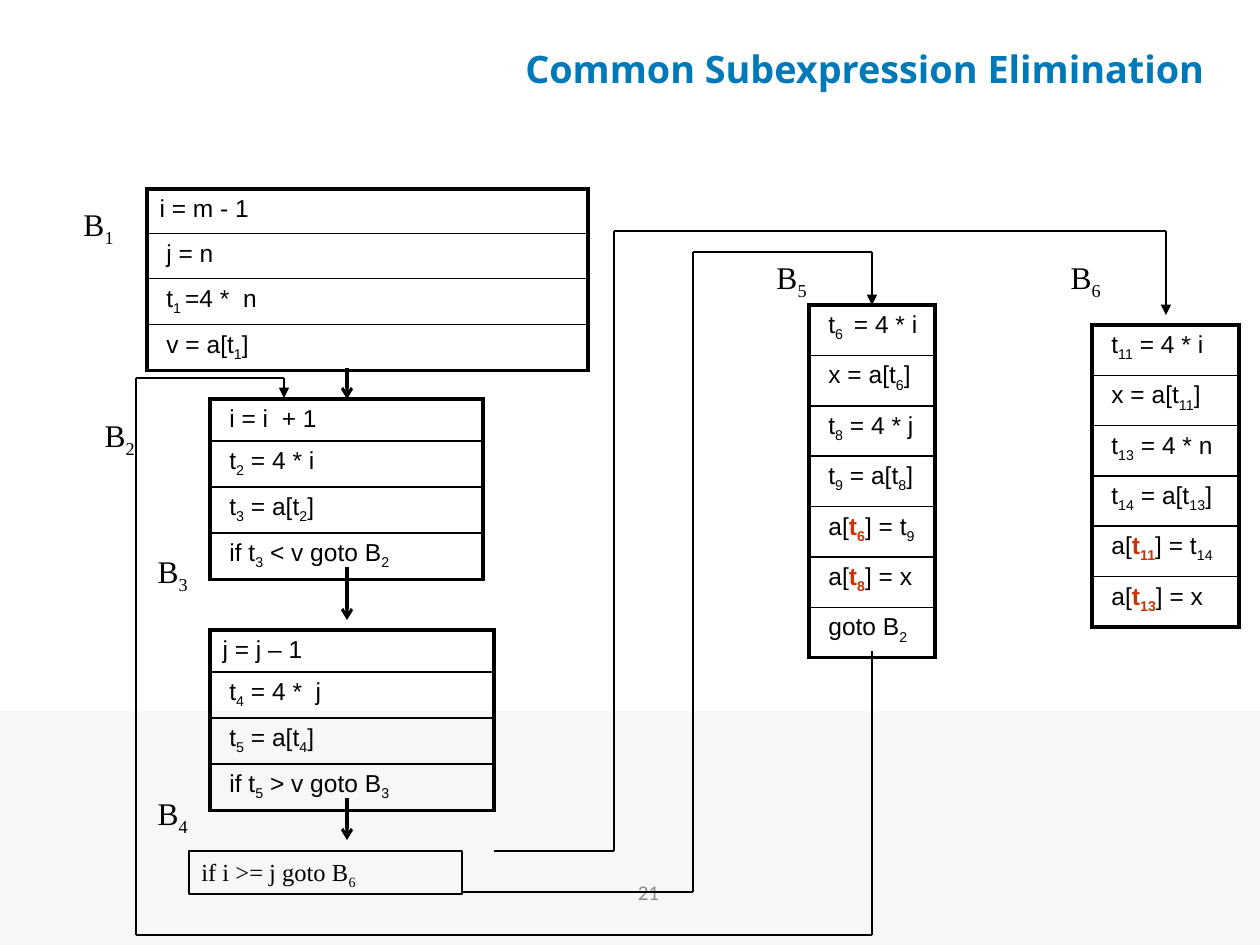
from dataclasses import dataclass
from itertools import pairwise

from lxml import etree
from pptx import Presentation
from pptx.dml.color import RGBColor
from pptx.enum.shapes import MSO_CONNECTOR, MSO_SHAPE
from pptx.enum.text import MSO_ANCHOR, PP_ALIGN
from pptx.oxml.ns import qn
from pptx.util import Emu, Pt

RECTANGLE = MSO_SHAPE.RECTANGLE
STRAIGHT = MSO_CONNECTOR.STRAIGHT
TOP, MIDDLE = MSO_ANCHOR.TOP, MSO_ANCHOR.MIDDLE
LEFT, CENTER, RIGHT = PP_ALIGN.LEFT, PP_ALIGN.CENTER, PP_ALIGN.RIGHT
TITLE_ONLY = 5
PX_PER_INCH = 126
COLORS = {
    "ink": "000000",
    "title": "0079B8",
    "changed": "CC3300",
    "band": "F7F7F7",
    "number": "8C8C8C",
}


@dataclass(frozen=True)
class Font:
    name: str
    size: float
    color: str = "ink"
    bold: bool = False


@dataclass(frozen=True)
class Block:
    left: int
    top: int
    width: int
    height: int
    statements: tuple[str, ...]


@dataclass(frozen=True)
class Label:
    left: int
    top: int
    number: int


@dataclass(frozen=True)
class Route:
    points: tuple[tuple[int, int], ...]
    weight: float = 0.75
    head: str = "triangle"


CODE = Font("Arial", 14)
SERIF = Font("Times New Roman", 14)
LABEL = Font("Times New Roman", 18)
TITLE = Font("Open Sans", 21.6, "title", True)
NUMBER = Font("Calibri", 12, "number")

BLOCKS = (
    Block(147, 189, 441, 179, ("i = m - 1", " j = n", " t~1 ~=4 *  n", " v = a[t~1~]")),
    Block(210, 399, 273, 147, (
        " i = i  + 1", " t~2~ = 4 * i", " t~3~ = a[t~2~]", " if t~3~ < v goto B~2~")),
    Block(210, 630, 284, 168, (
        "j = j – 1", " t~4~ = 4 *  j", " t~5~ = a[t~4~]", " if t~5~ > v goto B~3~")),
    Block(809, 305, 126, 353, (
        " t~6 ~ = 4 * i", " x = a[t~6~]", " t~8~ = 4 * j", " t~9~ = a[t~8~]",
        " a[#t~6~#] = t~9~", " a[#t~8~#] = x", " goto B~2~")),
    Block(1092, 325, 147, 302, (
        " t~11~ = 4 * i", " x = a[t~11~]", " t~13~ = 4 * n", " t~14~ = a[t~13~]",
        " a[#t~11~#] = t~14~", " a[#t~13~#] = x")),
)
LABELS = (
    Label(21, 199, 1), Label(42, 410, 2), Label(95, 546, 3),
    Label(95, 788, 4), Label(714, 252, 5), Label(1008, 252, 6),
)
ROUTES = (
    Route(((494, 851), (614, 851), (614, 231), (1166, 231), (1166, 315))),
    Route(((462, 892), (693, 892), (693, 252), (872, 252), (872, 305))),
    Route(((872, 651), (872, 935), (136, 935), (136, 378), (284, 378), (284, 398))),
    Route(((347, 368), (347, 399)), 1.75, "arrow"),
    Route(((347, 567), (347, 620)), 1.75, "arrow"),
    Route(((347, 798), (347, 840)), 1.75, "arrow"),
)


def px(length: float) -> Emu:
    return Emu(round(length * 914400 / PX_PER_INCH))


def rgb(name: str) -> RGBColor:
    return RGBColor.from_string(COLORS[name])


def write(frame, text: str, font: Font, align=LEFT, anchor=TOP) -> None:
    frame.word_wrap = True
    frame.vertical_anchor = anchor
    para = frame.paragraphs[0]
    para.alignment = align
    for part, phrase in enumerate(text.split("#")):
        changed = part % 2 == 1
        for index, piece in enumerate(phrase.split("~")):
            if not piece:
                continue
            span = para.add_run()
            span.text = piece
            span.font.name = font.name
            span.font.size = Pt(font.size)
            span.font.bold = font.bold or changed
            span.font.color.rgb = rgb("changed" if changed else font.color)
            if index % 2:
                span.font._element.set("baseline", "-25000")


def add_text(page, left: int, top: int, width: int, height: int,
             text: str, font: Font, align=LEFT, anchor=TOP) -> None:
    box = page.shapes.add_textbox(px(left), px(top), px(width), px(height))
    write(box.text_frame, text, font, align, anchor)


def add_rectangle(page, left: int, top: int, width: int, height: int):
    box = page.shapes.add_shape(RECTANGLE, px(left), px(top), px(width), px(height))
    box.shadow.inherit = False
    return box


def set_border(cell, side: str, weight: float) -> None:
    border = etree.SubElement(
        cell._tc.get_or_add_tcPr(), qn(f"a:ln{side}"), w=str(Pt(weight)))
    fill = etree.SubElement(border, qn("a:solidFill"))
    etree.SubElement(fill, qn("a:srgbClr"), val=COLORS["ink"])


def add_block(page, block: Block) -> None:
    count = len(block.statements)
    table = page.shapes.add_table(
        count, 1, px(block.left), px(block.top), px(block.width), px(block.height)).table
    table.first_row = False
    table.horz_banding = False
    for index, statement in enumerate(block.statements):
        table.rows[index].height = px(block.height / count)
        cell = table.cell(index, 0)
        set_border(cell, "L", 2.25)
        set_border(cell, "R", 2.25)
        set_border(cell, "T", 2.25 if index == 0 else 1)
        set_border(cell, "B", 2.25 if index == count - 1 else 1)
        cell.fill.background()
        write(cell.text_frame, statement, CODE)
        cell.vertical_anchor = TOP


def add_route(page, route: Route) -> None:
    for start, end in pairwise(route.points):
        line = page.shapes.add_connector(STRAIGHT, *map(px, start + end))
        line.line.color.rgb = rgb("ink")
        line.line.width = Pt(route.weight)
        etree.SubElement(line._element.spPr, qn("a:effectLst"))
    etree.SubElement(line.line._get_or_add_ln(), qn("a:tailEnd"), type=route.head)


def main() -> None:
    deck = Presentation()
    deck.slide_width, deck.slide_height = px(1260), px(945)
    page = deck.slides.add_slide(deck.slide_layouts[TITLE_ONLY])

    band = add_rectangle(page, 0, 711, 1260, 234)
    band.fill.solid()
    band.fill.fore_color.rgb = rgb("band")
    band.line.fill.background()
    add_text(page, 449, 859, 399, 66, "21", NUMBER, CENTER, MIDDLE)

    title = page.shapes.title
    title.left, title.top, title.width, title.height = map(px, (494, 21, 742, 95))
    write(title.text_frame, "Common Subexpression Elimination", TITLE, CENTER, MIDDLE)

    for block in BLOCKS:
        add_block(page, block)

    branch = add_rectangle(page, 189, 851, 273, 43)
    branch.fill.background()
    branch.line.color.rgb = rgb("ink")
    branch.line.width = Pt(0.75)
    write(branch.text_frame, "if i >= j goto B~6~", SERIF)

    for label in LABELS:
        add_text(page, label.left, label.top, 105, 50, f"B~{label.number}~", LABEL, RIGHT)
    for route in ROUTES:
        add_route(page, route)
    deck.save("out.pptx")


if __name__ == "__main__":
    main()
